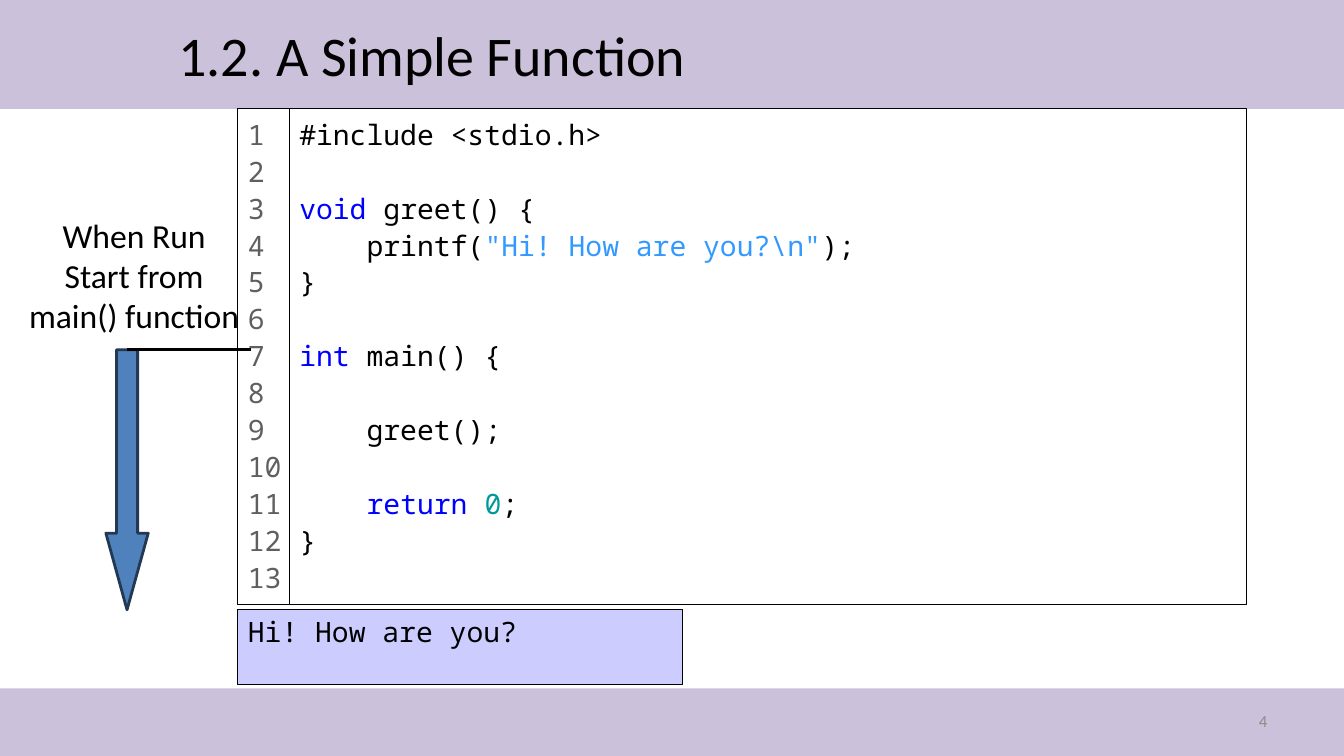
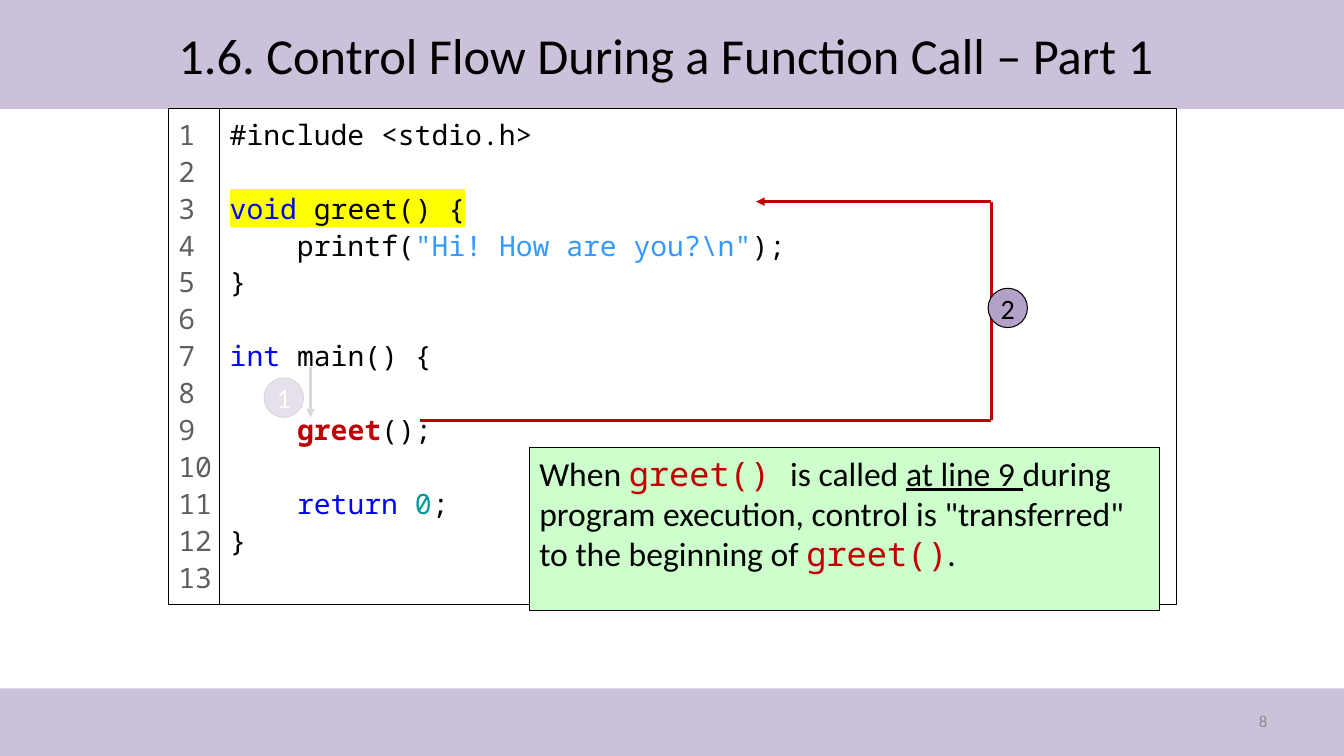
from lxml import etree
from pptx import Presentation
from pptx import util as u
from pptx.dml.color import RGBColor
from pptx.enum import shapes, text
from pptx.oxml.ns import qn

HEX = {
    "band": "CCC1DA", "black": "000000", "white": "FFFFFF", "gray": "8C8C8C",
    "count": "5F5F5F", "key": "0000FF", "str": "3399FF", "num": "009999",
    "red": "C00000", "mark": "FFFF00", "out": "CCCCFF", "note": "CCFFCC",
    "arrow": "4F81BD", "edge": "233953", "step": "B3A2C7",
    "faint": "E6E0EC", "pale": "D9D9D9",
}
SANS, MONO = "Calibri", "Noto Sans Mono"
KIND = shapes.MSO_SHAPE
LEFT, MID, RIGHT = text.PP_ALIGN.LEFT, text.PP_ALIGN.CENTER, text.PP_ALIGN.RIGHT
TOP, HALF = text.MSO_ANCHOR.TOP, text.MSO_ANCHOR.MIDDLE

# A line is a list of runs; a run is (text, style).
CODE = [
    [("#include <stdio.h>", {})],
    [],
    [("void", {"color": "key"}), (" greet() {", {})],
    [("    printf(", {}), ('"Hi! How are you?\\n"', {"color": "str"}), (");", {})],
    [("}", {})],
    [],
    [("int", {"color": "key"}), (" main() {", {})],
    [],
    [("    greet();", {})],
    [],
    [("    ", {}), ("return ", {"color": "key"}), ("0", {"color": "num"}), (";", {})],
    [("}", {})],
]


def rgb(name):
    return RGBColor.from_string(HEX[name])


def plain(*lines):
    return [[(line, {})] for line in lines]


class Deck:
    def __init__(self):
        self.prs = Presentation()
        self.prs.slide_width, self.prs.slide_height = u.Inches(13.33), u.Inches(7.5)
        self.layout = self.prs.slide_layouts[5]
        self.slide = None

    def start(self, title, size, number):
        first = self.slide is None
        self.slide = self.prs.slides.add_slide(self.layout)
        if first:
            self.bands()
        head = self.slide.shapes.title
        self.place(head, 1.67, 0, 9.99, 1.08)
        self.words(head, plain(title), size, anchor=HALF)
        self.label(9.56, 6.95, 3.11, 0.4, plain(number), 12,
                   color="gray", align=RIGHT, anchor=HALF)

    def bands(self):
        """Put the two bands on the layout, behind everything else."""
        for top, high in ((0, 1.08), (6.83, 0.67)):
            band = self.shape(0, top, 13.33, high, "band", None)
            self.layout.shapes.element.insert(2, band.element)

    def place(self, item, x, y, w, h):
        item.left, item.top = u.Inches(x), u.Inches(y)
        item.width, item.height = u.Inches(w), u.Inches(h)

    def words(self, item, lines, size, face=SANS, color="black", align=LEFT,
              anchor=TOP, space=None, wrap=True, inset=None):
        frame = item.text_frame
        frame.auto_size = text.MSO_AUTO_SIZE.NONE
        frame.word_wrap, frame.vertical_anchor = wrap, anchor
        if inset is not None:
            frame.margin_left = frame.margin_right = u.Inches(inset)
            frame.margin_top = frame.margin_bottom = u.Inches(inset)
        for i, line in enumerate(lines):
            para = frame.add_paragraph() if i else frame.paragraphs[0]
            para.alignment, para.line_spacing = align, space
            para.font.size, para.font.name = u.Pt(size), face
            para.font.color.rgb = rgb(color)
            for part, style in line:
                self.run(para, part, **style)

    def run(self, para, part, color=None, face=None, bold=None, under=None, mark=None):
        run = para.add_run()
        run.text = part
        run.font.bold, run.font.underline = bold, under
        if color:
            run.font.color.rgb = rgb(color)
        if mark:
            props = run._r.get_or_add_rPr()
            glow = etree.SubElement(props, qn("a:highlight"))
            etree.SubElement(glow, qn("a:srgbClr"), val=HEX[mark])
        if face:
            run.font.name = face

    def label(self, x, y, w, h, lines, size, **style):
        box = self.slide.shapes.add_textbox(0, 0, 0, 0)
        self.place(box, x, y, w, h)
        self.words(box, lines, size, **style)

    def shape(self, x, y, w, h, fill, line="black", width=0.75, kind=KIND.RECTANGLE):
        item = self.slide.shapes.add_shape(kind, 0, 0, 0, 0)
        self.place(item, x, y, w, h)
        item.shadow.inherit = False
        item.fill.solid()
        item.fill.fore_color.rgb = rgb(fill)
        if line:
            item.line.color.rgb, item.line.width = rgb(line), u.Pt(width)
        else:
            item.line.fill.background()
        return item

    def box(self, x, y, w, h, fill, lines, size=20, **style):
        self.words(self.shape(x, y, w, h, fill), lines, size, **style)

    def code(self, x, lines):
        """Draw a listing with its column of line numbers, left edge at x."""
        self.box(x + 0.51, 1.08, 9.49, 4.92, "white", lines, face=MONO, space=1.1)
        self.box(x, 1.08, 0.51, 4.92, "white", plain(*map(str, range(1, 14))),
                 face=MONO, color="count", space=1.1, wrap=False)

    def step(self, x, y, number, fill, line, color):
        dot = self.shape(x, y, 0.39, 0.39, fill, line, kind=KIND.OVAL)
        self.words(dot, plain(number), 20, color=color, align=MID, anchor=HALF, inset=0)

    def line(self, x1, y1, x2, y2, color, width=2, head=False):
        item = self.slide.shapes.add_connector(
            shapes.MSO_CONNECTOR.STRAIGHT, *map(u.Inches, (x1, y1, x2, y2)))
        item.line.color.rgb, item.line.width = rgb(color), u.Pt(width)
        props = item.element.spPr
        if head:
            etree.SubElement(props.find(qn("a:ln")), qn("a:tailEnd"), type="triangle")
        etree.SubElement(props, qn("a:effectLst"))


def simple(deck):
    deck.start("1.2. A Simple Function", 40, "4")
    deck.code(2.36, CODE)
    deck.box(2.36, 6.05, 4.41, 0.74, "out", plain("Hi! How are you?"), face=MONO)
    down = deck.shape(1.05, 3.47, 0.42, 2.58, "arrow", "edge", 2, KIND.DOWN_ARROW)
    down.adjustments[1] = 1.81
    deck.label(0.17, 2.08, 2.32, 1.31,
               plain("When Run", "Start from main() function"), 24, align=MID)
    deck.line(1.26, 3.47, 2.49, 3.47, "black", 2.25)


def flow(deck):
    deck.start("1.6. Control Flow During a Function Call – Part 1", 36, "8")
    lines = list(CODE)
    lines[2] = [(part, {**style, "mark": "mark"}) for part, style in CODE[2]]
    lines[8] = [("    ", {}), ("greet", {"color": "red", "bold": True}), ("();", {})]
    deck.code(1.67, lines)
    call = {"color": "red", "face": MONO}
    deck.box(5.25, 4.44, 6.25, 1.62, "note", [[
        ("When ", {}), ("greet() ", call), ("is called ", {}),
        ("at line 9 ", {"under": True}),
        ('during program execution, control is "transferred" to the beginning of ', {}),
        ("greet()", call), (".", {}),
    ]], 24)
    deck.line(9.83, 2, 7.5, 2, "red", head=True)
    deck.line(4.17, 4.17, 9.83, 4.17, "red")
    deck.line(9.83, 2, 9.83, 4.17, "red")
    deck.step(9.8, 2.86, "2", "step", "black", "black")
    deck.step(2.62, 3.75, "1", "faint", "pale", "white")
    deck.line(3.08, 3.64, 3.08, 4.14, "pale", head=True)


def main():
    deck = Deck()
    simple(deck)
    flow(deck)
    deck.prs.save("out.pptx")


if __name__ == "__main__":
    main()
